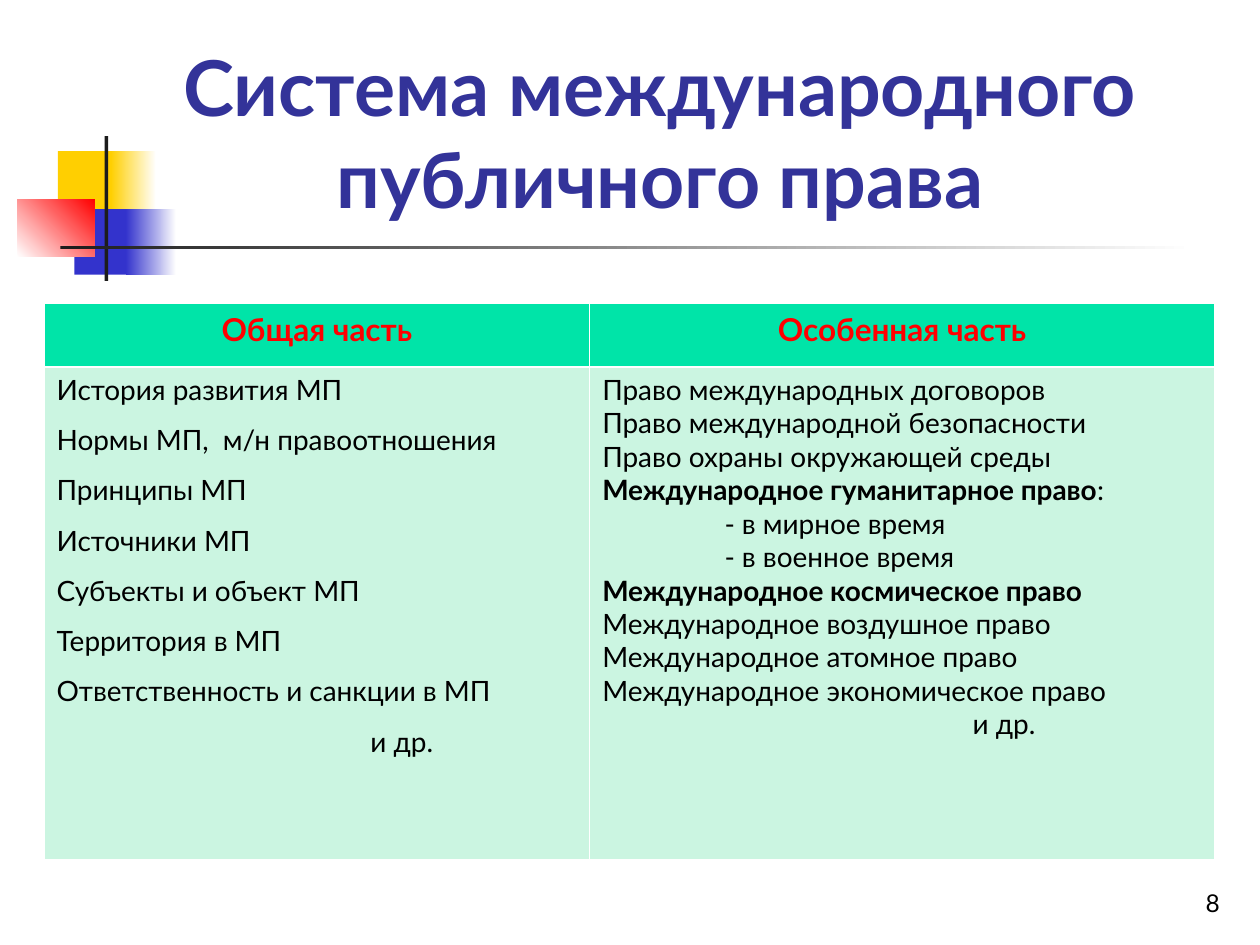
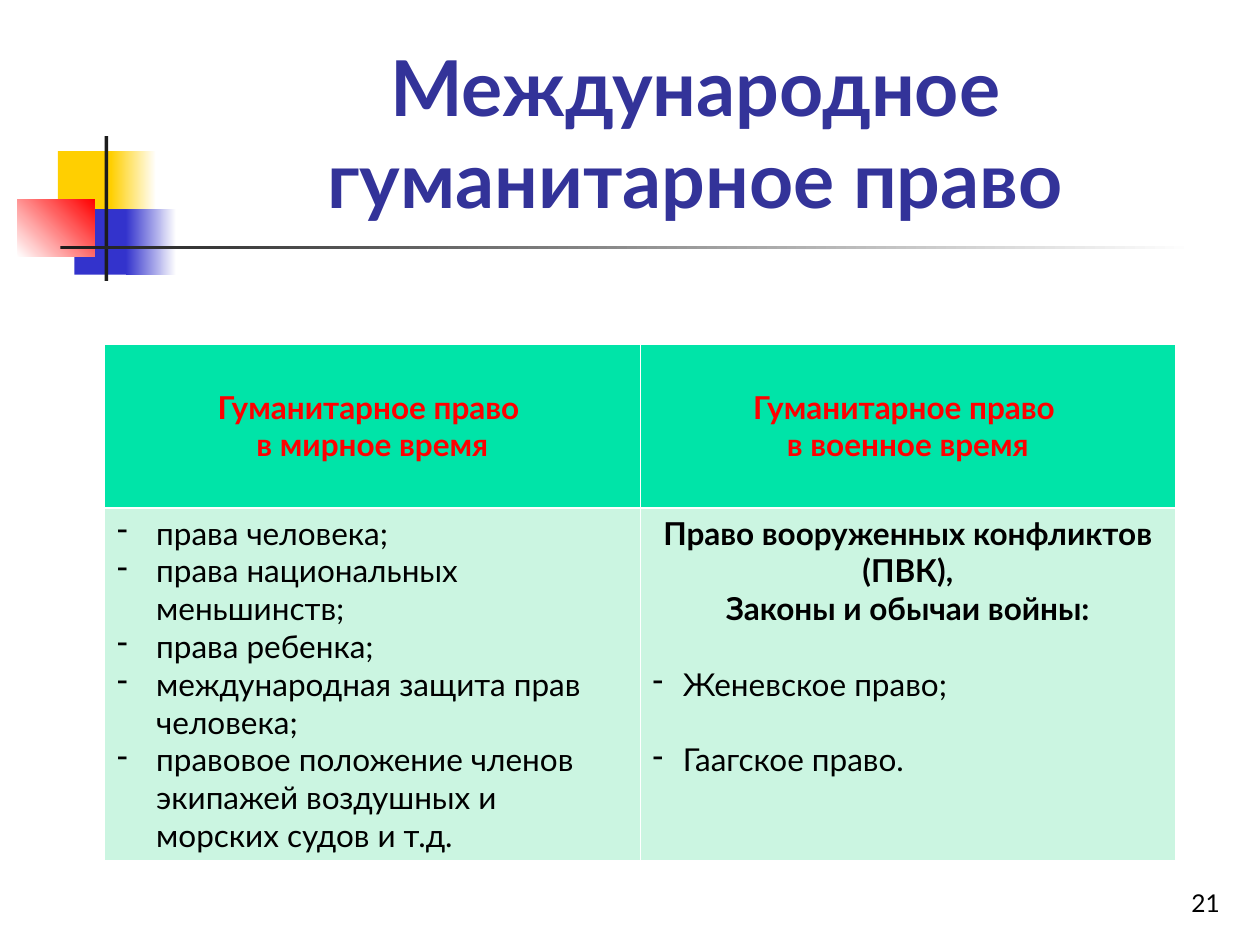
"""Build two slides on the system of public international law."""
from dataclasses import dataclass
from typing import Any

from lxml.etree import SubElement
from pptx import Presentation
from pptx.dml.color import RGBColor
from pptx.enum.shapes import MSO_SHAPE as Shape
from pptx.enum.text import MSO_ANCHOR as Anchor, PP_ALIGN as Align
from pptx.oxml.ns import qn
from pptx.util import Inches, Length, Pt

WIDTH, HEIGHT = Inches(10), Inches(7.5)
COLUMNS, ROWS = 100, 75
WHITE, BLACK, RED = "FFFFFF", "000000", "FF0000"
YELLOW, BLUE, DARK, NAVY = "FFCF01", "3333CC", "1C1C1C", "333399"
HEAD_FILL, BODY_FILL = "00E4A8", "CBF5E1"
FONT = "Lato"
THIN, THICK = 0.45, 1.47


@dataclass(frozen=True)
class Area:
    """A rectangle in grid columns and rows."""
    left: float
    top: float
    width: float
    height: float

    def lengths(self) -> tuple[Length, ...]:
        """Return left, top, width and height as slide lengths."""
        return across(self.left), down(self.top), across(self.width), down(self.height)


@dataclass(frozen=True)
class Block:
    """A coloured rectangle, fading to a second colour if one is given."""
    area: Area
    color: str
    fade: str = ""
    angle: float = 0


@dataclass(frozen=True)
class Line:
    """One paragraph: an optional plain tail, an indent and a gap above."""
    text: str
    bold: bool = False
    tail: str = ""
    indent: float = 0
    gap: float = 0
    bullet: bool = False
    align: Align = Align.LEFT


@dataclass(frozen=True)
class Topic:
    """The contents of one slide."""
    title: str
    title_left: float
    table_area: Area
    widths: tuple[float, ...]
    heights: tuple[float, ...]
    heads: tuple[tuple[str, ...], ...]
    bodies: tuple[tuple[Line, ...], ...]
    body_size: float
    head_anchor: Anchor
    number: str


BLOCKS = (
    Block(Area(4.6, 12, 4.8, 5.2), YELLOW),
    Block(Area(8.8, 12, 3.6, 5.2), YELLOW, WHITE),
    Block(Area(5.9, 16.6, 4.6, 5.2), BLUE),
    Block(Area(10, 16.6, 4, 5.2), BLUE, WHITE),
    Block(Area(1.4, 15.8, 6.1, 4.6), WHITE, RED, 45),
    Block(Area(8.3, 10.8, 0.3, 11.5), DARK),
    Block(Area(4.8, 19.5, 90, 0.3), DARK, WHITE),
)

GENERAL = ("История развития МП", "Нормы МП,  м/н правоотношения", "Принципы МП",
           "Источники МП", "Субъекты и объект МП", "Территория в МП",
           "Ответственность и санкции в МП")
RIGHTS = ("права человека;", "права национальных меньшинств;", "права ребенка;",
          "международная защита прав человека;",
          "правовое положение членов экипажей воздушных и морских судов и т.д.")

TOPICS = (
    Topic(
        "Система международного публичного права", 9.8,
        Area(3.5, 24.1, 92.9, 44.1), (43.3, 49.6), (5, 39.1),
        (("Общая часть",), ("Особенная часть",)),
        (
            (*(Line(text, gap=9.6 if order else 0) for order, text in enumerate(GENERAL)),
             Line("и др.", indent=24.9, gap=9.6)),
            (Line("Право международных договоров"),
             Line("Право международной безопасности"),
             Line("Право охраны окружающей среды"),
             Line("Международное гуманитарное право", bold=True, tail=":"),
             Line("- в мирное время", indent=9.7),
             Line("- в военное время", indent=9.7),
             Line("Международное космическое право", bold=True),
             Line("Международное воздушное право"),
             Line("Международное атомное право"),
             Line("Международное экономическое право"),
             Line("и др.", indent=29.4)),
        ),
        16, Anchor.TOP, "8",
    ),
    Topic(
        "Международное гуманитарное право", 12.6,
        Area(8.3, 27.3, 85, 41), (42.5, 42.5), (13, 28),
        (("Гуманитарное право ", "в мирное время"),
         ("Гуманитарное право ", "в военное время")),
        (
            tuple(Line(text, indent=3.1, bullet=True) for text in RIGHTS),
            (Line("Право вооруженных конфликтов (ПВК),", bold=True, align=Align.CENTER),
             Line("Законы и обычаи войны:", bold=True, align=Align.CENTER),
             Line("Женевское право;", indent=2.4, gap=21.6, bullet=True),
             Line("Гаагское право.", indent=2.4, gap=21.6, bullet=True)),
        ),
        18, Anchor.MIDDLE, "21",
    ),
)


def across(columns: float) -> Length:
    """Turn grid columns into a length."""
    return Length(round(WIDTH * columns / COLUMNS))


def down(rows: float) -> Length:
    """Turn grid rows into a length."""
    return Length(round(HEIGHT * rows / ROWS))


def paint(target: Any, color: str) -> None:
    """Give a colour format a hex colour."""
    target.rgb = RGBColor.from_string(color)


def apply(target: Any, values: dict[str, Any]) -> None:
    """Set each named attribute of the target."""
    for name, value in values.items():
        setattr(target, name, value)


def fill_solid(target: Any, color: str) -> None:
    """Fill a shape or a cell with one colour."""
    target.fill.solid()
    paint(target.fill.fore_color, color)


def add_block(page: Any, block: Block) -> None:
    """Draw one rectangle of the title ornament."""
    box = page.shapes.add_shape(Shape.RECTANGLE, *block.area.lengths())
    box.shadow.inherit = False
    box.line.fill.background()
    if not block.fade:
        fill_solid(box, block.color)
        return
    box.fill.gradient()
    box.fill.gradient_angle = block.angle
    for stop, color in zip(box.fill.gradient_stops, (block.color, block.fade)):
        paint(stop.color, color)


def add_span(para: Any, text: str, size: float, color: str, bold: bool) -> None:
    """Add a formatted run to a paragraph."""
    span = para.add_run()
    span.text = text
    apply(span.font, {"name": FONT, "size": Pt(size), "bold": bold})
    paint(span.font.color, color)


def write_lines(frame: Any, lines: tuple[Line, ...], size: float, color: str) -> None:
    """Write the lines as paragraphs of a text frame."""
    for order, line in enumerate(lines):
        para = frame.add_paragraph() if order else frame.paragraphs[0]
        apply(para, {"alignment": line.align, "space_before": Pt(line.gap)})
        props = para._p.get_or_add_pPr()
        indent = across(line.indent)
        props.set("marL", str(indent))
        props.set("indent", str(-indent if line.bullet else 0))
        if line.bullet:
            SubElement(props, qn("a:buChar"), char="-")
        add_span(para, line.text, size, color, line.bold)
        if line.tail:
            add_span(para, line.tail, size, color, False)


def add_text(page: Any, area: Area, line: Line, size: float, color: str) -> None:
    """Add a wrapped text box that is anchored at its bottom."""
    frame = page.shapes.add_textbox(*area.lengths()).text_frame
    apply(frame, {"word_wrap": True, "vertical_anchor": Anchor.BOTTOM})
    write_lines(frame, (line,), size, color)


def style_cell(cell: Any, is_head: bool, anchor: Anchor) -> None:
    """Give a cell its borders, fill and anchor."""
    props = cell._tc.get_or_add_tcPr()
    top, bottom = (THIN, THICK) if is_head else (THICK, THIN)
    for side, weight in zip("LRTB", (THIN, THIN, top, bottom)):
        edge = SubElement(props, qn(f"a:ln{side}"), w=str(Pt(weight)))
        SubElement(SubElement(edge, qn("a:solidFill")), qn("a:srgbClr"), val=WHITE)
    fill_solid(cell, HEAD_FILL if is_head else BODY_FILL)
    cell.vertical_anchor = anchor


def add_topic_table(page: Any, topic: Topic) -> None:
    """Add the table of headings and their contents."""
    size = len(topic.heights), len(topic.widths)
    table = page.shapes.add_table(*size, *topic.table_area.lengths()).table
    for column, width in zip(table.columns, topic.widths):
        column.width = across(width)
    for row, height in zip(table.rows, topic.heights):
        row.height = down(height)
    for order, (head, body) in enumerate(zip(topic.heads, topic.bodies)):
        head_cell, body_cell = table.cell(0, order), table.cell(1, order)
        style_cell(head_cell, True, topic.head_anchor)
        style_cell(body_cell, False, Anchor.TOP)
        head_lines = tuple(Line(text, bold=True, align=Align.CENTER) for text in head)
        write_lines(head_cell.text_frame, head_lines, 18, RED)
        write_lines(body_cell.text_frame, body, topic.body_size, BLACK)


def add_topic(deck: Any, topic: Topic) -> None:
    """Add one slide with its ornament, title, table and number."""
    page = deck.slides.add_slide(deck.slide_layouts[6])
    for block in BLOCKS:
        add_block(page, block)
    title = Line(topic.title, bold=True, align=Align.CENTER)
    add_text(page, Area(topic.title_left, 2.3, 85.2, 16), title, 44, NAVY)
    add_topic_table(page, topic)
    number = Line(topic.number, align=Align.RIGHT)
    add_text(page, Area(77, 68.3, 20.8, 5), number, 14, BLACK)


def main() -> None:
    """Build and save the deck."""
    deck = Presentation()
    apply(deck, {"slide_width": WIDTH, "slide_height": HEIGHT})
    for topic in TOPICS:
        add_topic(deck, topic)
    deck.save("out.pptx")


if __name__ == "__main__":
    main()
